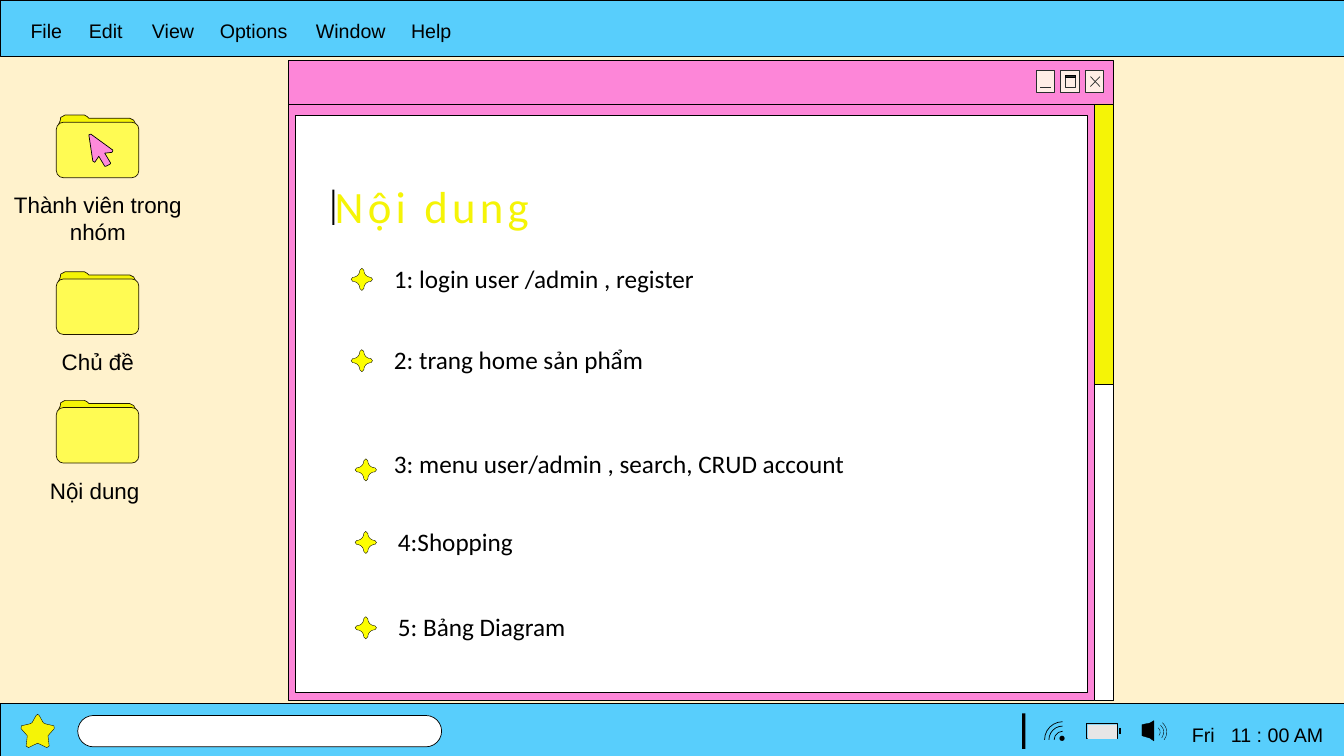
import math

import pptx
import pptx.dml.color
import pptx.enum.shapes
import pptx.enum.text
import pptx.oxml.ns
import pptx.util
from lxml import etree

Cm = pptx.util.Cm
Pt = pptx.util.Pt
rgb = pptx.dml.color.RGBColor.from_string
qn = pptx.oxml.ns.qn
SHAPE = pptx.enum.shapes.MSO_SHAPE
ALIGN = pptx.enum.text.PP_ALIGN
FIT = pptx.enum.text.MSO_AUTO_SIZE

BLACK, WHITE, INK = "000000", "FFFFFF", "292D2D"
BLUE, PINK, YELLOW = "58CEFC", "FD86D8", "F5F406"

deck = pptx.Presentation()
deck.slide_width, deck.slide_height = Cm(33.87), Cm(19.05)
slide = deck.slides.add_slide(deck.slide_layouts[5])
slide.background.fill.solid()
slide.background.fill.fore_color.rgb = rgb("FFF2CC")
shapes = slide.shapes


def draw(form, place, fill=None, line=BLACK, weight=0.5):
    """Draw a preset shape in a box, a connector, or (form None) an outline; all in cm."""
    if form is None:
        points = [(Cm(x), Cm(y)) for x, y in place]
        builder = shapes.build_freeform(*points[0])
        builder.add_line_segments(points[1:], close=True)
        part = builder.convert_to_shape()
    elif form == "line":
        straight = pptx.enum.shapes.MSO_CONNECTOR.STRAIGHT
        part = shapes.add_connector(straight, *map(Cm, place))
        etree.SubElement(part.element.spPr, qn("a:effectLst"))
    else:
        part = shapes.add_shape(form, *map(Cm, place))
    if form != "line":
        part.shadow.inherit = False
        if fill:
            part.fill.solid()
            part.fill.fore_color.rgb = rgb(fill)
        else:
            part.fill.background()
    if line:
        part.line.color.rgb = rgb(line)
        part.line.width = Pt(weight)
    else:
        part.line.fill.background()
    return part


def write(words, place, size, font="Arial", color=BLACK, align=ALIGN.LEFT, tabs=(), holder=None):
    """Put one line of text in a new text box, or in the given placeholder."""
    box = holder or shapes.add_textbox(*map(Cm, place))
    box.left, box.top, box.width, box.height = map(Cm, place)
    frame = box.text_frame
    frame.word_wrap = True
    frame.auto_size = FIT.NONE if holder else FIT.SHAPE_TO_FIT_TEXT
    frame.vertical_anchor = pptx.enum.text.MSO_ANCHOR.TOP
    paragraph = frame.paragraphs[0]
    paragraph.alignment = align
    if tabs:
        stops = etree.SubElement(paragraph._p.get_or_add_pPr(), qn("a:tabLst"))
        for stop in tabs:
            etree.SubElement(stops, qn("a:tab"), pos=str(Cm(stop)), algn="l")
    run = paragraph.add_run()
    run.text = words
    run.font.size, run.font.name = Pt(size), font
    run.font.color.rgb = rgb(color)
    return run


# Desktop folders
tab_outline = [(0, 0.25), (0.05, 0.14), (0.06, 0.06), (0.17, 0), (0.66, 0), (0.73, 0.04),
               (0.77, 0.08), (1.8, 0.08), (1.9, 0.13), (1.96, 0.25), (1.96, 1.3),
               (1.8, 1.47), (0.17, 1.47), (0, 1.3)]
for label, top in [("Thành viên trong nhóm", 2.9), ("Chủ đề", 6.85), ("Nội dung ", 10.09)]:
    write(label, (0, top + 1.8, 4.93, 0.94), 16, align=ALIGN.CENTER)
    draw(None, [(1.47 + x, top + y) for x, y in tab_outline], YELLOW, "211900")
    front = draw(SHAPE.ROUNDED_RECTANGLE, (1.42, top + 0.18, 2.08, 1.4), "FFFB53", "211900")
    front.adjustments[0] = 0.13

# Mouse pointer on the first folder
draw(None, [(2.84, 3.78), (2.29, 3.38), (2.24, 3.4), (2.34, 4.06), (2.39, 4.09), (2.49, 3.94),
            (2.64, 4.19), (2.67, 4.19), (2.77, 4.14), (2.79, 4.11), (2.64, 3.86),
            (2.82, 3.84), (2.84, 3.81)], "FE8ADA")

# Window with page and scroll bar
draw(SHAPE.RECTANGLE, (7.26, 1.52, 20.8, 16.13), PINK)
draw("line", (7.26, 2.62, 28.06, 2.62))
draw("line", (27.58, 17.66, 27.58, 2.62))
draw(SHAPE.RECTANGLE, (7.44, 2.9, 19.96, 14.55), WHITE)
draw(SHAPE.RECTANGLE, (27.58, 2.62, 0.48, 7.06), YELLOW)
draw(SHAPE.RECTANGLE, (27.58, 9.68, 0.48, 7.98), WHITE)

# Window buttons: minimise, maximise, close
for index in range(3):
    draw(SHAPE.RECTANGLE, (26.11 + 0.62 * index, 1.78, 0.47, 0.56), "FFEEE6", INK)
draw("line", (26.21, 2.21, 26.49, 2.21), line=INK)
draw(SHAPE.RECTANGLE, (26.85, 1.91, 0.25, 0.3), line=INK)
draw(SHAPE.RECTANGLE, (26.85, 1.91, 0.25, 0.05), INK)
draw("line", (27.48, 1.93, 27.72, 2.18), line=INK)
draw("line", (27.72, 1.93, 27.48, 2.18), line=INK)

# Menu bar
draw(SHAPE.RECTANGLE, (0, 0, 33.87, 1.42), BLUE)
write("File\tEdit\tView\tOptions\tWindow\tHelp", (0.52, 0.36, 12, 0.86), 14,
      tabs=(1.47, 3.06, 4.77, 7.19, 9.59))

# Taskbar with star button, search field and clock
draw(SHAPE.RECTANGLE, (0, 17.73, 33.87, 1.42), BLUE)
half_star = [(0, 18), (0.04, 18.03), (0.14, 18.21), (0.19, 18.24), (0.41, 18.29), (0.42, 18.36),
             (0.26, 18.54), (0.29, 18.8), (0.23, 18.84), (0.09, 18.77), (0, 18.73)]
draw(None, [(0.95 + x, y) for x, y in half_star]
     + [(0.95 - x, y) for x, y in half_star[-2:0:-1]], YELLOW, weight=0.25)
search = draw(SHAPE.ROUNDED_RECTANGLE, (1.96, 18.03, 9.17, 0.79), WHITE)
search.adjustments[0] = 0.5
write("Fri\t11 : 00 AM", (29.79, 18.08, 4.04, 0.86), 14, tabs=(0.98,))

# Wi-Fi and speaker waves
for x, y, diameters, turn, weight in [(26.78, 18.64, (0.43, 0.69, 0.91), 269.6, 0.5),
                                      (29.1, 18.45, (0.28, 0.46, 0.61), 39.5, 0.25)]:
    for size in diameters:
        wave = draw(SHAPE.ARC, (x - size / 2, y - size / 2, size, size), weight=weight)
        wave.rotation = turn
draw(SHAPE.OVAL, (26.7, 18.54, 0.13, 0.13), BLACK, None)
draw(None, [(29.08, 18.67), (28.98, 18.6), (28.78, 18.54), (28.78, 18.26),
            (28.98, 18.22), (29.08, 18.16)], BLACK, weight=0.25)

# Battery and divider
draw(SHAPE.RECTANGLE, (27.38, 18.24, 0.79, 0.38))
draw(SHAPE.RECTANGLE, (27.41, 18.26, 0.74, 0.36), "E7E6E6", None)
draw("line", (28.22, 18.34, 28.22, 18.49), weight=1.5)
draw(SHAPE.RECTANGLE, (25.76, 17.98, 0.08, 0.89), BLACK, None)

# Title in front of the window, letterspaced and outlined, with its text cursor
heading = shapes.title
shapes.element.append(heading.element)
heading_run = write("Nội dung", (8.18, 4.37, 14.48, 1.63), 32, "Calibri", YELLOW, holder=heading)
letters = heading_run.font._element
letters.set("spc", "300")
outline = etree.Element(qn("a:ln"), w=str(Pt(0.25)))
etree.SubElement(etree.SubElement(outline, qn("a:solidFill")), qn("a:srgbClr"), val=BLACK)
letters.insert(0, outline)
draw(SHAPE.RECTANGLE, (8.38, 4.78, 0.05, 0.89), BLACK, None)

# Contents, each with a sparkle: four concave quarter arcs joined by blunt tips
sparkle = []
for quarter in range(4):
    turn = quarter * math.pi / 2
    sparkle.append((0.27 * math.cos(turn), 0.28 * math.sin(turn)))
    for step in range(7):
        angle = turn + math.pi * (1.5 - step / 12)
        sparkle.append((0.23 * (math.cos(turn) - math.sin(turn)) + 0.18 * math.cos(angle),
                        0.23 * (math.sin(turn) + math.cos(turn)) + 0.18 * math.sin(angle)))

contents = [("1: login user /admin , register", 9.12, 7.04, 9.68, 6.5),
            ("2: trang home sản phẩm", 9.12, 9.09, 9.68, 8.56),
            ("3: menu user/admin , search, CRUD account", 9.22, 11.84, 9.68, 11.18),
            ("4:Shopping", 9.22, 13.67, 9.78, 13.13),
            ("5: Bảng Diagram", 9.22, 15.82, 9.78, 15.29)]
for entry, center_x, center_y, left, top in contents:
    draw(None, [(center_x + x, center_y + y) for x, y in sparkle], "FDFE00", weight=0.25)
    write(entry, (left, top, 16.66, 1.02), 18, "Calibri")

deck.save("out.pptx")
